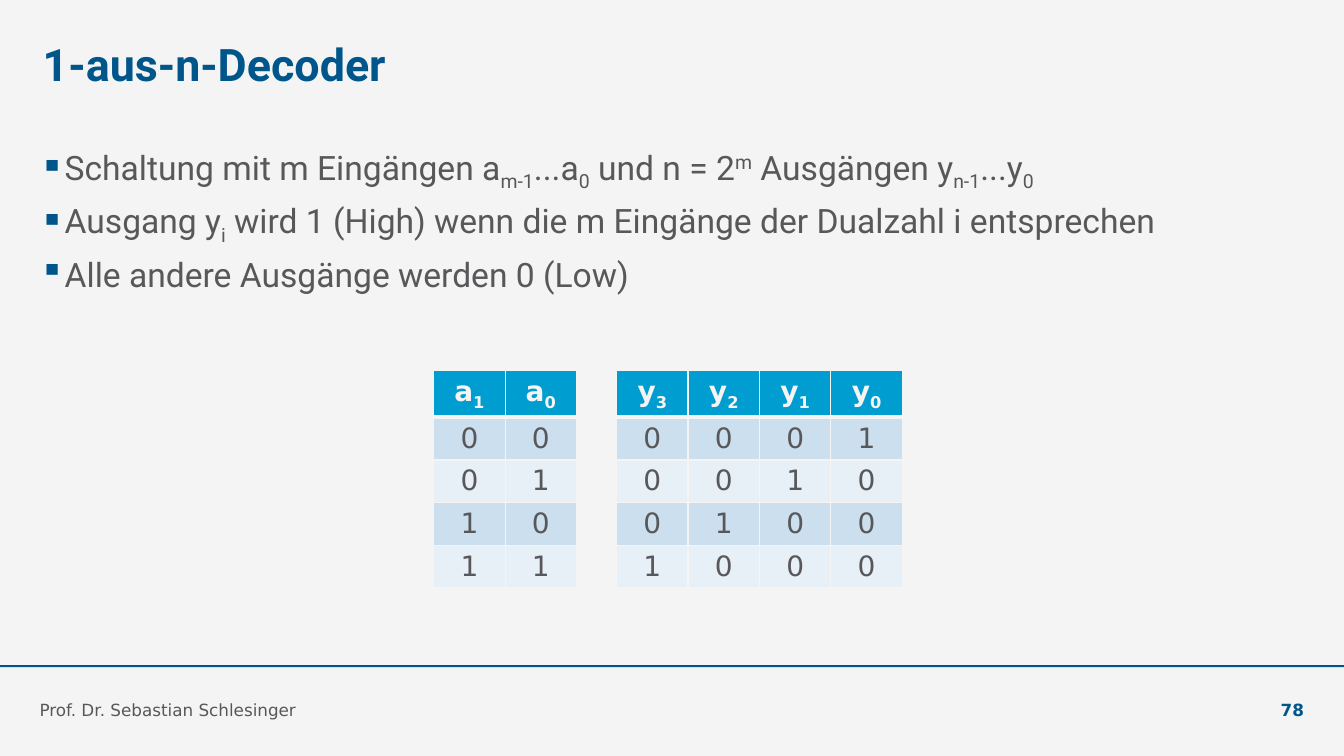
from dataclasses import dataclass

from lxml.etree import SubElement
from pptx import Presentation
from pptx.dml.color import RGBColor as RGB
from pptx.enum.shapes import MSO_SHAPE as SHAPE
from pptx.enum.text import MSO_ANCHOR as ANCHOR, MSO_AUTO_SIZE as AUTOSIZE, PP_ALIGN as ALIGN
from pptx.oxml.ns import qn
from pptx.util import Pt


@dataclass(frozen=True)
class Theme:
    background: str = "F4F4F4"
    blue: str = "00568A"
    grey: str = "58585A"
    header: str = "009DD1"
    bands: tuple = ("CCDFEE", "E7EFF7")
    text_font: str = "Roboto"
    data_font: str = "DejaVu Sans"
    title_size: int = 32
    body_size: int = 24
    table_size: int = 20
    footer_size: int = 12


SUB, SUP = -25, 30  # baseline shift in percent


class SlideBuilder:
    def __init__(self, prs, theme):
        self.theme = theme
        self.s = prs.slides.add_slide(prs.slide_layouts[5])
        fill = self.s.background.fill
        fill.solid()
        fill.fore_color.rgb = RGB.from_string(theme.background)

    def runs(self, p, parts, font, size, color, bold=False):
        """Each part is plain text or a (text, baseline shift) pair."""
        for part in parts:
            text, shift = (part, 0) if isinstance(part, str) else part
            r = p.add_run()
            r.text = text
            r.font.name, r.font.size, r.font.bold = font, Pt(size), bold
            r.font.color.rgb = RGB.from_string(color)
            if shift:
                r._r.get_or_add_rPr().set("baseline", str(shift * 1000))

    def frame(self, sp, anchor=ANCHOR.TOP):
        tf = sp.text_frame
        tf.word_wrap = True
        tf.auto_size = AUTOSIZE.NONE
        tf.vertical_anchor = anchor
        tf.margin_left = tf.margin_top = tf.margin_right = tf.margin_bottom = 0
        return tf

    def title(self, text, x, y, w, h):
        t, sp = self.theme, self.s.shapes.title
        sp.left, sp.top, sp.width, sp.height = Pt(x), Pt(y), Pt(w), Pt(h)
        p = self.frame(sp).paragraphs[0]
        p.alignment = ALIGN.LEFT
        self.runs(p, [text], t.text_font, t.title_size, t.blue, True)

    def bullets(self, items, x, y, w, h):
        t = self.theme
        tf = self.frame(self.s.shapes.add_textbox(Pt(x), Pt(y), Pt(w), Pt(h)))
        for i, parts in enumerate(items):
            p = tf.add_paragraph() if i else tf.paragraphs[0]
            p.line_spacing = 1.08
            p.space_before = Pt(3 if i else 0)
            pPr = p._p.get_or_add_pPr()
            pPr.set("marL", str(Pt(16)))
            pPr.set("indent", str(-Pt(16)))
            SubElement(SubElement(pPr, qn("a:buClr")), qn("a:srgbClr"), val=t.blue)
            SubElement(pPr, qn("a:buChar"), char="▪")
            self.runs(p, parts, t.text_font, t.body_size, t.grey)

    def footer(self, text, x, y, w, h, color, align=ALIGN.LEFT, bold=False):
        t = self.theme
        sp = self.s.shapes.add_textbox(Pt(x), Pt(y), Pt(w), Pt(h))
        p = self.frame(sp, ANCHOR.BOTTOM).paragraphs[0]
        p.alignment = align
        self.runs(p, [text], t.data_font, t.footer_size, color, bold)

    def rule(self, x, y, w, h):
        sp = self.s.shapes.add_shape(SHAPE.RECTANGLE, Pt(x), Pt(y), Pt(w), Pt(h))
        sp.shadow.inherit = False
        sp.fill.solid()
        sp.fill.fore_color.rgb = RGB.from_string(self.theme.blue)
        sp.line.fill.background()

    def borders(self, cell, top, bottom):
        tcPr = cell._tc.get_or_add_tcPr()
        for side, width in (("L", 1), ("R", 1), ("T", top), ("B", bottom)):
            ln = SubElement(tcPr, qn("a:ln" + side), w=str(Pt(width)))
            fill = SubElement(ln, qn("a:solidFill"))
            SubElement(fill, qn("a:srgbClr"), val=self.theme.background)

    def truth_table(self, name, rows, x, y, col_w, row_h):
        """Header cells are the name with falling indices; rows are bit strings."""
        t, n = self.theme, len(rows[0])
        header = [[name, (str(i), SUB)] for i in reversed(range(n))]
        table = self.s.shapes.add_table(len(rows) + 1, n, Pt(x), Pt(y), Pt(col_w * n),
                                        Pt(row_h * (len(rows) + 1))).table
        for col in table.columns:
            col.width = Pt(col_w)
        for i, row in enumerate([header, *rows]):
            table.rows[i].height = Pt(row_h)
            for j, parts in enumerate(row):
                cell = table.cell(i, j)
                self.borders(cell, 3 if i == 1 else 1, 3 if i == 0 else 1)
                cell.fill.solid()
                fill = t.bands[(i - 1) % 2] if i else t.header
                cell.fill.fore_color.rgb = RGB.from_string(fill)
                p = cell.text_frame.paragraphs[0]
                p.alignment = ALIGN.CENTER
                self.runs(p, parts, t.data_font, t.table_size,
                          t.grey if i else t.background, i == 0)


def main():
    prs = Presentation()
    prs.slide_width, prs.slide_height = Pt(960), Pt(540)
    theme = Theme()
    b = SlideBuilder(prs, theme)

    # Title and bullets
    b.title("1-aus-n-Decoder", 30.5, 26, 600, 45)
    b.bullets([
        ["Schaltung mit m Eingängen a", ("m-1", SUB), "...a", ("0", SUB), " und n = 2",
         ("m", SUP), " Ausgängen y", ("n-1", SUB), "...y", ("0", SUB)],
        ["Ausgang y", ("i", SUB),
         " wird 1 (High) wenn die m Eingänge der Dualzahl i entsprechen"],
        ["Alle andere Ausgänge werden 0 (Low)"],
    ], 28.3, 102, 903.5, 350)

    # Truth table: inputs count up, each output row has a single 1
    m = 2
    n = 2 ** m
    inputs = [f"{i:0{m}b}" for i in range(n)]
    outputs = [f"{1 << i:0{n}b}" for i in range(n)]
    for name, rows, x in (("a", inputs, 309.8), ("y", outputs, 440.5)):
        b.truth_table(name, rows, x, 264.5, 51, 29.5)

    # Footer
    b.rule(0, 475, 960, 1.5)
    b.footer("Prof. Dr. Sebastian Schlesinger", 28.3, 486, 662, 28, theme.grey)
    b.footer("78", 866, 486, 65.5, 28, theme.blue, ALIGN.RIGHT, True)

    prs.save("out.pptx")


if __name__ == "__main__":
    main()
